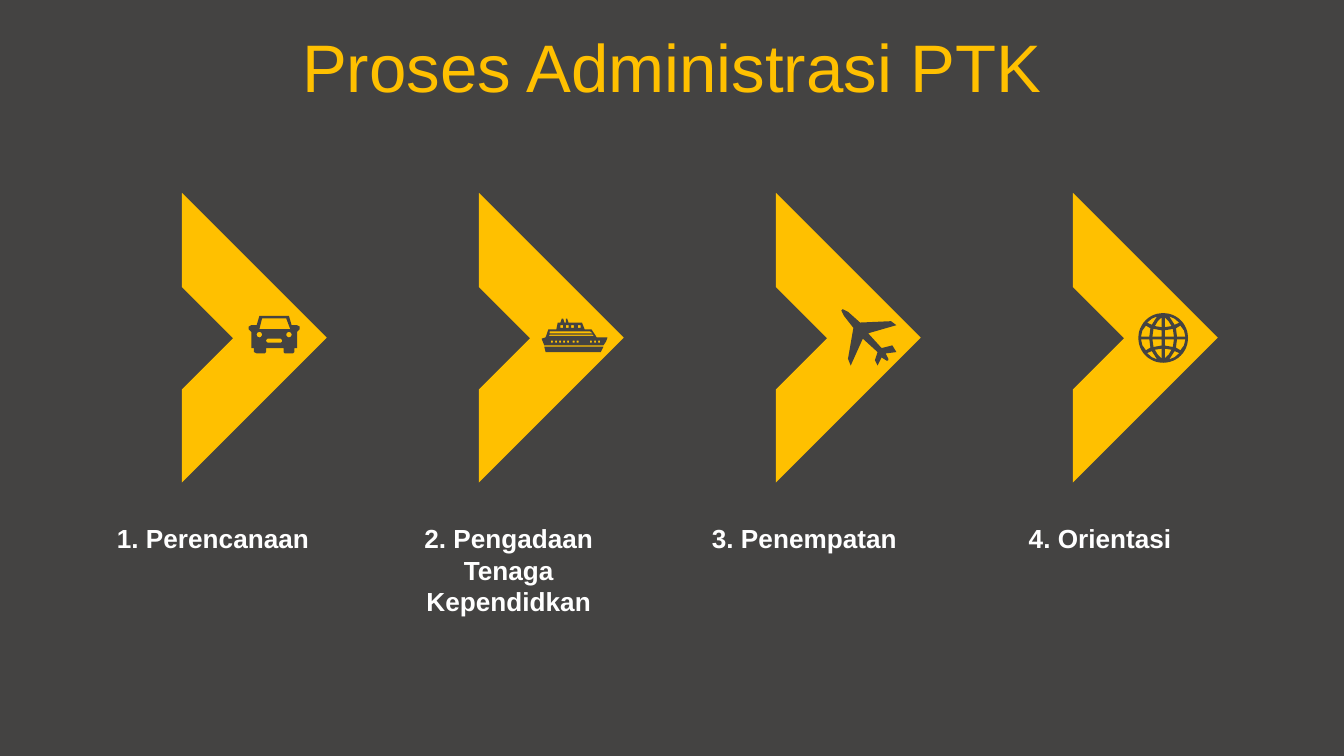
"""Build the slide on the four steps of PTK administration."""
from math import cos, pi, sin

from pptx import Presentation
from pptx.dml.color import RGBColor
from pptx.enum.text import MSO_ANCHOR, MSO_AUTO_SIZE, PP_ALIGN
from pptx.util import Inches, Pt

DARK, GOLD, WHITE = "444342", "FFC000", "FFFFFF"
STEPS = ["1. Perencanaan", "2. Pengadaan Tenaga Kependidkan",
         "3. Penempatan", "4. Orientasi"]
CHEVRON = [(0, 0), (0, 152.5), (152.5, 152.5), (103, 103), (49, 103), (49, 49)]
CAR_BODY = [(8, 0), (30, 0), (32, 7), (36, 7), (38, 8), (38, 10), (36, 12),
            (36, 24), (34, 24), (34, 27), (33, 28), (27, 28), (26, 27),
            (26, 24), (13, 24), (13, 27), (12, 28), (6, 28), (4, 27),
            (4, 24), (2, 24), (2, 12), (0, 10), (0, 8), (2, 7), (6, 7)]
CAR_WINDOW = [(10, 2), (8, 10), (31, 10), (28, 2)]
CAR_GRILLE = [(14, 17), (13, 18), (13, 19), (14, 20),
              (24, 20), (25, 19), (25, 18), (24, 17)]
SHIP_BODY = [(18, 0), (19, 0), (20, 3), (30, 3), (32, 8), (37, 8), (41, 14),
             (49, 14), (48, 17), (46, 20), (2, 20), (0, 15), (3, 14), (5, 8),
             (11, 8), (12, 3), (14, 3), (15, 0), (16, 0), (17, 3), (18, 3)]
SHIP_KEEL = [(2, 21), (46, 21), (44, 25), (3, 25)]
SHIP_DECKS = [[(6, 12), (5, 13), (39, 13), (38, 12)],
              [(6, 9.5), (6, 11), (38, 11), (36, 9.5)]]
PLANE = [(41, 32), (33, 33), (35, 37), (35, 38), (34, 38.5), (30, 36),
         (27, 42), (25, 38), (27, 32), (16, 22), (7, 42), (5, 37), (9, 14),
         (2, 5), (0, 1), (1, 0), (5, 2), (14, 10), (37, 9), (41, 12),
         (20, 18), (30, 29), (38, 27)]
GLOBE_QUARTER = [
    [(1.2, 8), (1.2, 15.2), (4, 12.5), (6.2, 8.8)],
    [(1.2, 1), (1.2, 5.7), (7.2, 6.7), (8, 1)],
    [(10.3, 1), (9.5, 7.2), (12.8, 9.2), (15.5, 5.5), (16.5, 1)],
    [(4.5, 16), (8.5, 9.8), (12, 11.3), (8.5, 14.3)]]


def color(code):
    return RGBColor.from_string(code)


def box(x, y, w, h):
    return [(x, y), (x, y + h), (x + w, y + h), (x + w, y)]


def circle(x, y, r, n=48):
    return [(x + r * cos(2 * pi * i / n), y + r * sin(2 * pi * i / n))
            for i in range(n)]


def car():
    lights = [circle(x, 14, 2) for x in (8, 30)]
    return [CAR_BODY, CAR_WINDOW, CAR_GRILLE, *lights]


def ship():
    portholes = [box(x, 16.5, 1.5, 1.5)
                 for x in (7, 10, 13, 16, 19, 23, 26, 36, 39, 42)]
    windows = [box(x, 5, 2, 2) for x in (14, 18, 22, 27)]
    return [SHIP_BODY, SHIP_KEEL, *SHIP_DECKS, *portholes, *windows]


def globe():
    c = 18.5
    gaps = [[(c + dx * x, c + dy * y) for x, y in gap]
            for gap in GLOBE_QUARTER for dx in (-1, 1) for dy in (-1, 1)]
    return [circle(c, c, c), *gaps]


class Deck:
    """Holds the font and the current slide and draws its elements."""

    def __init__(self, font="Arial"):
        self.font = font
        self.prs = Presentation()
        self.prs.slide_width = Inches(10)
        self.prs.slide_height = Inches(10) * 9 // 16
        self.s = self.prs.slides.add_slide(self.prs.slide_layouts[6])

    def background(self, code):
        fill = self.s.background.fill
        fill.solid()
        fill.fore_color.rgb = color(code)

    def text(self, words, x, y, w, h, size, code, bold=False, grow=False):
        sp = self.s.shapes.add_textbox(Inches(x), Inches(y), Inches(w), Inches(h))
        tf = sp.text_frame
        tf.word_wrap = True
        tf.vertical_anchor = MSO_ANCHOR.TOP if grow else MSO_ANCHOR.MIDDLE
        tf.auto_size = MSO_AUTO_SIZE.SHAPE_TO_FIT_TEXT if grow else MSO_AUTO_SIZE.NONE
        p = tf.paragraphs[0]
        p.text = words
        p.alignment = PP_ALIGN.CENTER
        p.font.name, p.font.size, p.font.bold = self.font, Pt(size), bold
        p.font.color.rgb = color(code)

    def outline(self, contours, x, y, code, rotation=0):
        scaled = [[(px * 10, py * 10) for px, py in c] for c in contours]
        builder = self.s.shapes.build_freeform(*scaled[0][0], scale=Inches(1) / 1000)
        builder.add_line_segments(scaled[0][1:], close=True)
        for contour in scaled[1:]:
            builder.move_to(*contour[0])
            builder.add_line_segments(contour[1:], close=True)
        sp = builder.convert_to_shape(Inches(x), Inches(y))
        sp.rotation = rotation
        sp.shadow.inherit = False
        sp.fill.solid()
        sp.fill.fore_color.rgb = color(code)
        sp.line.fill.background()


def main():
    deck = Deck()
    deck.background(DARK)
    deck.text("Proses Administrasi PTK", 0, 0.17, 10, 0.63, 36, GOLD)
    icons = [(car(), 1.85, 2.35), (ship(), 4.03, 2.37),
             ([PLANE], 6.26, 2.3), (globe(), 8.47, 2.33)]
    for i, (step, (icon, x, y)) in enumerate(zip(STEPS, icons)):
        deck.outline([CHEVRON], 0.59 + 2.21 * i, 1.75, GOLD, 225)
        deck.outline(icon, x, y, DARK)
        height = 0.81 if len(step) > 20 else 0.34
        deck.text(step, 0.59 + 2.2 * i, 3.84, 1.99, height, 14, WHITE, True, True)
    deck.prs.save("out.pptx")


if __name__ == "__main__":
    main()
